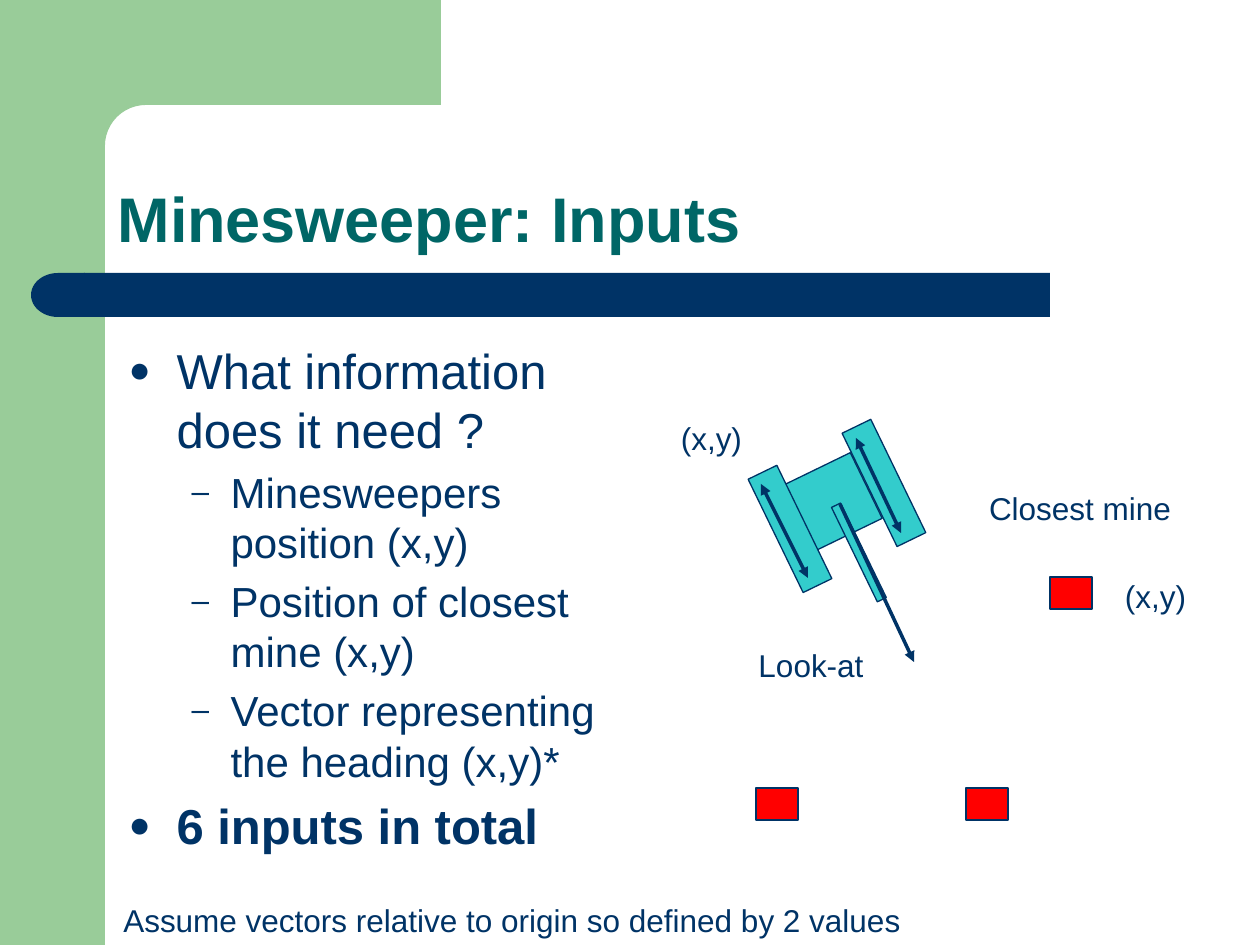
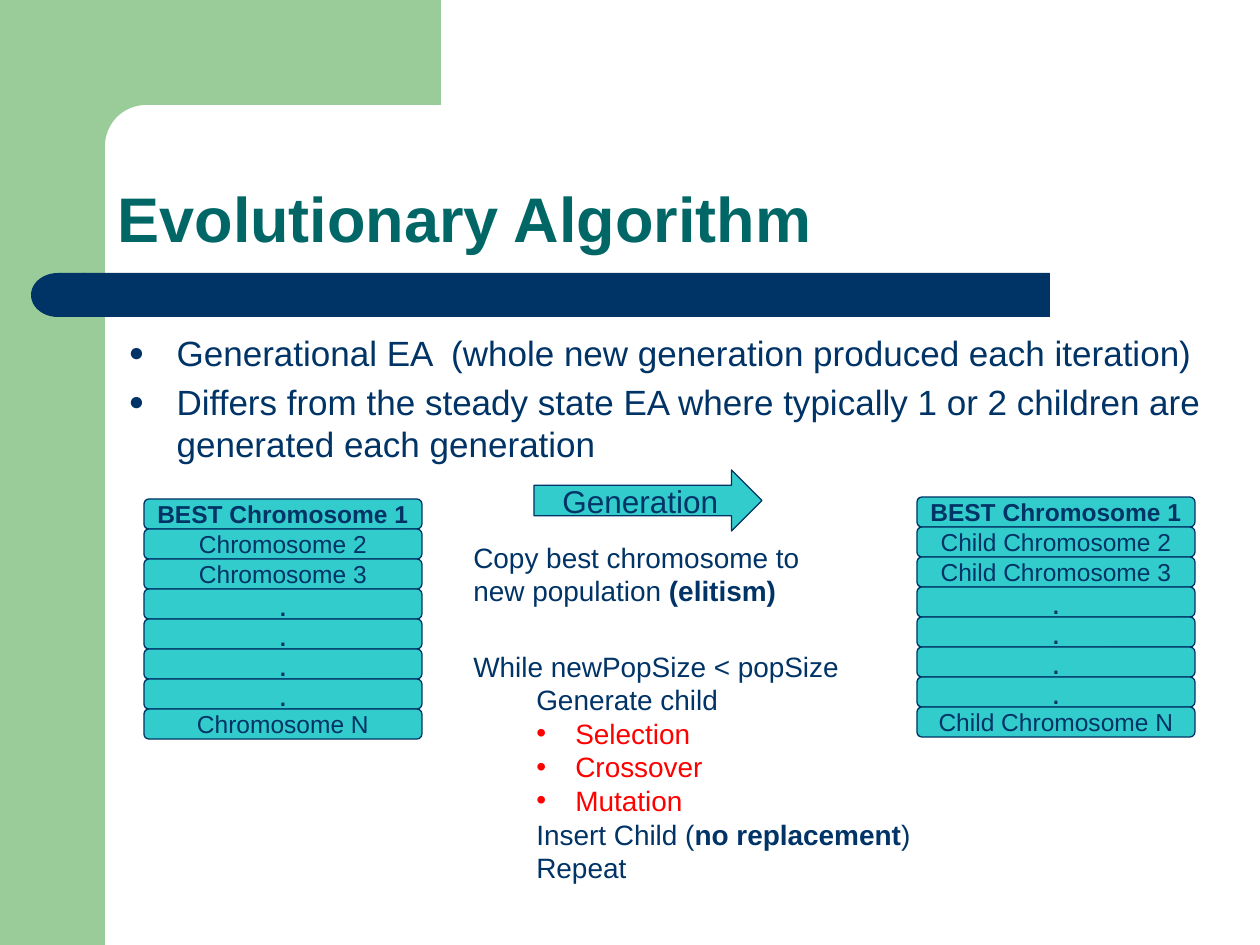
from dataclasses import dataclass
from math import cos, pi, sin

from lxml.etree import SubElement
from pptx import Presentation
from pptx.dml.color import RGBColor
from pptx.enum.shapes import MSO_CONNECTOR, MSO_SHAPE
from pptx.enum.text import MSO_ANCHOR, MSO_AUTO_SIZE, PP_ALIGN
from pptx.oxml.ns import qn
from pptx.util import Pt

EMU_PER_PX = 914400 / 126


@dataclass(frozen=True)
class Theme:
    font: str = "Arial"
    navy: str = "003366"
    teal: str = "006666"
    green: str = "99CC99"
    cyan: str = "33CCCC"
    red: str = "FF0000"
    title: int = 36
    large: int = 28
    medium: int = 24
    body: int = 20
    label: int = 18
    code: int = 16
    gene: int = 14
    outline: float = 0.75
    arrow: int = 2


THEME = Theme()


@dataclass(frozen=True)
class Line:
    """One paragraph; text between ** marks is bold."""
    text: str
    size: int
    color: str = THEME.navy
    level: int = 0
    margin: int = 0
    hanging: int = 0
    bullet: str = ""
    bullet_percent: int = 100


def point(text, size):
    return Line(text, size, margin=48, hanging=48, bullet="●", bullet_percent=75)


def subpoint(text):
    return Line(text, THEME.medium, level=1, margin=102, hanging=39,
                bullet="–", bullet_percent=75)


def step(text):
    return Line(text, THEME.code, level=1, margin=63)


def operator(text):
    return Line(text, THEME.code, THEME.red, level=1, margin=102, hanging=39, bullet="•")


def px(length):
    return round(length * EMU_PER_PX)


def rgb(color):
    return RGBColor.from_string(color)


# Text

def add_bullet(paragraph, line):
    properties = paragraph._p.get_or_add_pPr()
    properties.set("marL", str(px(line.margin)))
    properties.set("indent", str(-px(line.hanging)))
    if line.bullet:
        bullet_color = SubElement(properties, qn("a:buClr"))
        SubElement(bullet_color, qn("a:srgbClr"), val=line.color)
        SubElement(properties, qn("a:buSzPct"), val=str(line.bullet_percent * 1000))
        SubElement(properties, qn("a:buFont"), typeface=THEME.font)
        SubElement(properties, qn("a:buChar"), char=line.bullet)


def write_line(paragraph, line):
    paragraph.level = line.level
    if line.margin:
        add_bullet(paragraph, line)
    for index, text in enumerate(line.text.split("**")):
        if text:
            span = paragraph.add_run()
            span.text = text
            span.font.name = THEME.font
            span.font.size = Pt(line.size)
            span.font.bold = index % 2 == 1
            span.font.color.rgb = rgb(line.color)


def write_lines(frame, lines):
    for index, line in enumerate(lines):
        paragraph = frame.add_paragraph() if index else frame.paragraphs[0]
        write_line(paragraph, line)
    frame.paragraphs[0].space_before = Pt(0)


def add_text(page, bounds, lines):
    box = page.shapes.add_textbox(*map(px, bounds))
    box.text_frame.word_wrap = True
    write_lines(box.text_frame, lines)
    return box


def add_label(page, bounds, text):
    frame = add_text(page, bounds, [Line(text, THEME.label)]).text_frame
    frame.word_wrap = False
    frame.paragraphs[0].alignment = PP_ALIGN.CENTER


def fill_placeholder(placeholder, bounds, lines, anchor):
    placeholder.left, placeholder.top, placeholder.width, placeholder.height = map(px, bounds)
    frame = placeholder.text_frame
    frame.auto_size = MSO_AUTO_SIZE.NONE
    frame.vertical_anchor = anchor
    write_lines(frame, lines)


# Shapes

def paint(shape, fill, outline=None):
    shape.shadow.inherit = False
    shape.fill.solid()
    shape.fill.fore_color.rgb = rgb(fill)
    if outline:
        shape.line.color.rgb = rgb(outline)
        shape.line.width = Pt(THEME.outline)
    else:
        shape.line.fill.background()


def add_block(page, kind, bounds, fill, outline=None, rotation=0):
    shape = page.shapes.add_shape(kind, *map(px, bounds))
    paint(shape, fill, outline)
    shape.rotation = rotation
    return shape


def add_captioned(page, kind, bounds, text, size):
    shape = add_block(page, kind, bounds, THEME.cyan, THEME.navy)
    frame = shape.text_frame
    frame.word_wrap = False
    frame.vertical_anchor = MSO_ANCHOR.MIDDLE
    write_lines(frame, [Line(text, size)])
    frame.paragraphs[0].alignment = PP_ALIGN.CENTER


def add_arrow(page, start, end, both_ends=False):
    arrow = page.shapes.add_connector(MSO_CONNECTOR.STRAIGHT, *map(px, start + end))
    arrow.line.color.rgb = rgb(THEME.navy)
    arrow.line.width = Pt(THEME.arrow)
    stroke = arrow.line._get_or_add_ln()
    if both_ends:
        SubElement(stroke, qn("a:headEnd"), type="triangle")
    SubElement(stroke, qn("a:tailEnd"), type="triangle")
    SubElement(arrow._element.spPr, qn("a:effectLst"))


# Shared frame

def add_corner(page):
    radius, center, steps = 41, 146, 12
    angles = [pi / 2 * index / steps for index in range(steps + 1)]
    curve = [(center - radius * sin(a), center - radius * cos(a)) for a in angles]
    outline = [(441, 105), *curve, (105, 161), (63, 161), (63, 0)]
    builder = page.shapes.build_freeform(px(441), 0)
    builder.add_line_segments([(px(x), px(y)) for x, y in outline], close=True)
    corner = builder.convert_to_shape()
    paint(corner, THEME.green)
    return corner


def decorate_layout(layout, page):
    """Draw the bands on a page, then move them behind the layout's placeholders."""
    bands = [
        add_block(page, MSO_SHAPE.RECTANGLE, (0, 0, 105, 945), THEME.green),
        add_corner(page),
        add_block(page, MSO_SHAPE.RECTANGLE, (84, 273, 966, 44), THEME.navy),
        add_block(page, MSO_SHAPE.FLOWCHART_DELAY, (31, 273, 54, 44), THEME.navy, rotation=180),
    ]
    for index, band in enumerate(bands):
        band._element.nvSpPr.cNvPr.id = 100 + index
        layout.shapes._spTree.insert(2 + index, band._element)


def fill_page(page, title, body_bounds, lines):
    heading = page.shapes.title
    fill_placeholder(heading, (105, 105, 1092, 157),
                     [Line(f"**{title}**", THEME.title, THEME.teal)], MSO_ANCHOR.BOTTOM)
    paragraph = heading.text_frame.paragraphs[0]
    paragraph.alignment = PP_ALIGN.LEFT
    paragraph.line_spacing = 0.9
    fill_placeholder(page.placeholders[1], body_bounds, lines, MSO_ANCHOR.TOP)


# Slide 1: minesweeper inputs

def add_minesweeper(page):
    hull, right_track = (797, 465, 73, 73), (868, 420, 32, 126)
    barrel, left_track = (854, 500, 10, 105), (774, 466, 32, 126)
    for part in (hull, right_track, barrel, left_track):
        add_block(page, MSO_SHAPE.RECTANGLE, part, THEME.cyan, THEME.navy, rotation=334.1)
    add_arrow(page, (856, 438), (901, 533), both_ends=True)
    add_arrow(page, (761, 484), (808, 578), both_ends=True)


def build_inputs(page):
    fill_page(page, "Minesweeper: Inputs", (116, 334, 505, 562), [
        point("What information does it need ?", THEME.large),
        subpoint("Minesweepers position (x,y)"),
        subpoint("Position of closest mine (x,y)"),
        subpoint("Vector representing the heading (x,y)*"),
        point("**6 inputs in total**", THEME.large),
    ])
    add_label(page, (108, 895, 808, 50),
              "Assume vectors relative to origin so defined by 2 values")
    add_minesweeper(page)
    for left, top in ((1050, 577), (966, 788), (756, 788)):
        add_block(page, MSO_SHAPE.RECTANGLE, (left, top, 42, 32), THEME.red, THEME.navy)
    add_arrow(page, (840, 504), (914, 662))
    add_label(page, (976, 483, 208, 50), "Closest mine")
    add_label(page, (746, 640, 130, 50), "Look-at")
    add_label(page, (668, 413, 87, 50), "(x,y)")
    add_label(page, (1112, 571, 87, 50), "(x,y)")


# Slide 2: evolutionary algorithm

def add_population(page, left, top, prefix):
    names = ["**BEST Chromosome 1**", f"{prefix}Chromosome 2", f"{prefix}Chromosome 3",
             *"....", f"{prefix}Chromosome N"]
    row_height = 30
    for index, name in enumerate(names):
        size = THEME.label if name == "." else THEME.gene
        add_captioned(page, MSO_SHAPE.ROUNDED_RECTANGLE,
                      (left, top + index * row_height, 278, row_height), name, size)


def build_algorithm(page):
    fill_page(page, "Evolutionary Algorithm", (116, 325, 1118, 533), [
        point("Generational EA  (whole new generation produced each iteration)", THEME.body),
        point("Differs from the steady state EA where typically 1 or 2 children are "
              "generated each generation", THEME.body),
    ])
    add_population(page, 144, 499, "")
    add_population(page, 917, 497, "Child ")
    add_captioned(page, MSO_SHAPE.RIGHT_ARROW, (534, 470, 228, 61), "Generation", THEME.label)
    add_text(page, (461, 643, 467, 285), [
        Line("While newPopSize < popSize", THEME.code),
        step("Generate child"),
        *map(operator, ("Selection", "Crossover", "Mutation")),
        step("Insert Child (**no replacement**)"),
        step("Repeat"),
    ])
    add_text(page, (461, 534, 406, 81), [
        Line("Copy best chromosome to new population** (elitism)**", THEME.code)])


def main():
    deck = Presentation()
    deck.slide_width, deck.slide_height = px(1260), px(945)
    layout = deck.slide_layouts[1]
    inputs, algorithm = (deck.slides.add_slide(layout) for _ in range(2))
    decorate_layout(layout, inputs)
    build_inputs(inputs)
    build_algorithm(algorithm)
    deck.save("out.pptx")


if __name__ == "__main__":
    main()
